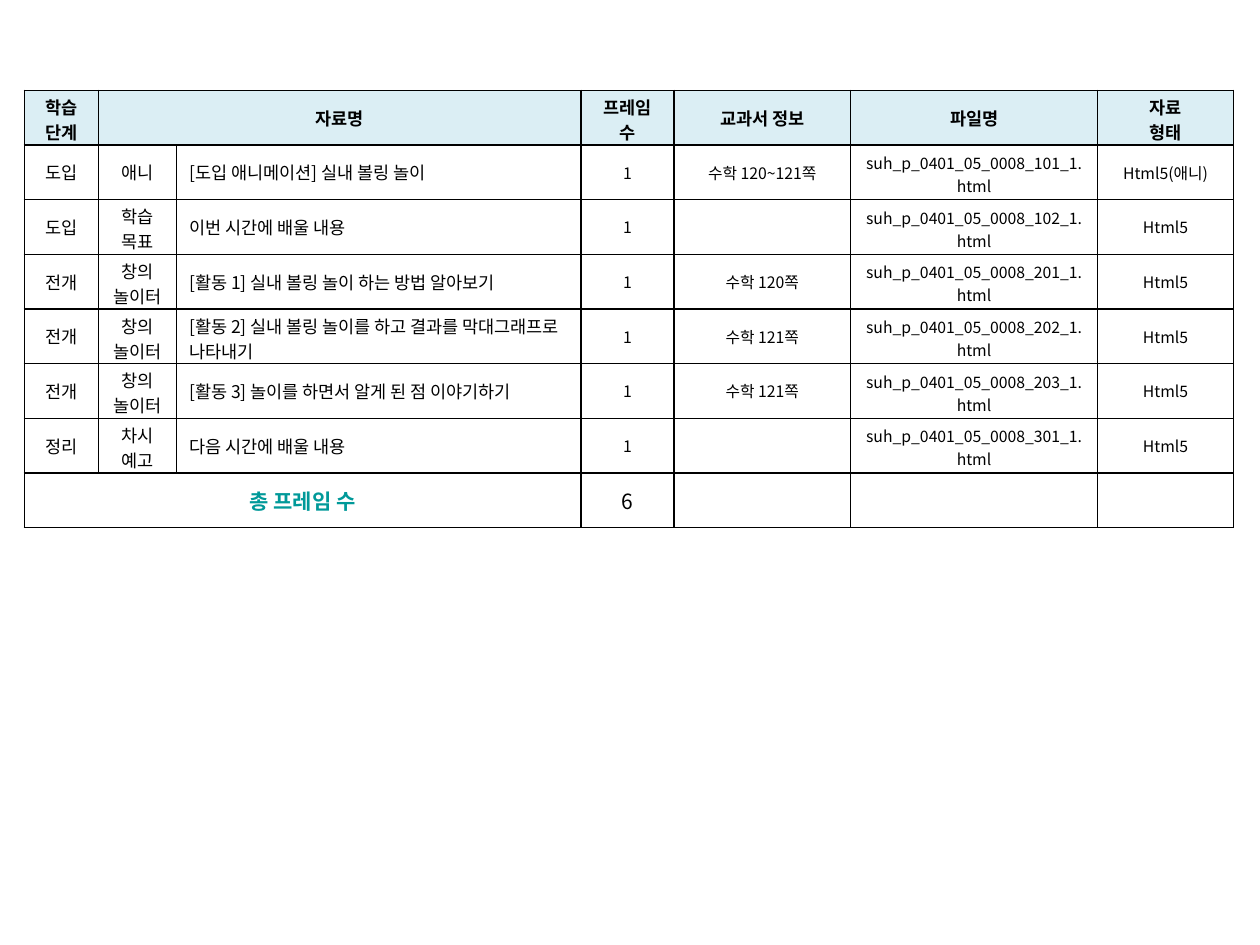
from dataclasses import dataclass
from lxml.etree import SubElement
from pptx import Presentation
from pptx.dml.color import RGBColor
from pptx.enum.text import MSO_ANCHOR, PP_ALIGN
from pptx.oxml.ns import qn
from pptx.util import Cm, Pt


@dataclass(frozen=True)
class Theme:
    font: str = "Noto Sans CJK KR"
    ink: str = "000000"
    head: str = "DBEEF4"
    teal: str = "009999"
    small: int = 9
    base: int = 10
    large: int = 12
    line: int = 1


THEME = Theme()
COLS = [1.5, 1.57, 8.15, 1.88, 3.56, 4.98, 2.74]
SLIM = (0, 1, 3)
HEAD = ["학습 단계", "자료명", "", "프레임 수", "교과서 정보", "파일명", "자료\n형태"]
PLAY = "창의\n놀이터"
ITEMS = [
    ("도입", "애니", "[도입 애니메이션] 실내 볼링 놀이", "수학 120~121쪽", 101, "Html5(애니)"),
    ("도입", "학습 목표", "이번 시간에 배울 내용", "", 102, "Html5"),
    ("전개", PLAY, "[활동 1] 실내 볼링 놀이 하는 방법 알아보기", "수학 120쪽", 201, "Html5"),
    ("전개", PLAY, "[활동 2] 실내 볼링 놀이를 하고 결과를 막대그래프로 나타내기",
     "수학 121쪽", 202, "Html5"),
    ("전개", PLAY, "[활동 3] 놀이를 하면서 알게 된 점 이야기하기", "수학 121쪽", 203, "Html5"),
    ("정리", "차시 예고", "다음 시간에 배울 내용", "", 301, "Html5"),
]


def wraps(text, col):
    return "\n" in text or len(text) > 28 or (col in SLIM and " " in text)


def write(cell, text, size=THEME.base, color=THEME.ink, bold=False,
          align=PP_ALIGN.CENTER, tall=False):
    cell.vertical_anchor = MSO_ANCHOR.MIDDLE
    if tall:
        cell.vertical_anchor = MSO_ANCHOR.TOP
        cell.margin_top = Cm(0.13 if size == THEME.small else 0.08)
        cell.margin_bottom = 0
    cell.text_frame.text = text
    for para in cell.text_frame.paragraphs:
        para.alignment = align
        para.font.size = Pt(size)
        for run in para.runs:
            font = run.font
            font.name, font.size, font.bold = THEME.font, Pt(size), bold
            font.color.rgb = RGBColor.from_string(color)
            SubElement(font._element, qn("a:ea"), typeface=THEME.font)


def frame(cell, fill=None):
    props = cell._tc.get_or_add_tcPr()
    for side in "LRTB":
        line = SubElement(props, qn(f"a:ln{side}"), w=str(Pt(THEME.line)))
        paint = SubElement(line, qn("a:solidFill"))
        SubElement(paint, qn("a:srgbClr"), val=THEME.ink)
    if fill:
        cell.fill.solid()
        cell.fill.fore_color.rgb = RGBColor.from_string(fill)
    else:
        cell.fill.background()


def add_plan(slide, left, top, width, height):
    last = len(ITEMS) + 1
    table = slide.shapes.add_table(
        last + 1, len(COLS), Cm(left), Cm(top), Cm(width), Cm(height)).table
    table.first_row = table.horz_banding = False
    for col, size in zip(table.columns, COLS):
        col.width = Cm(width * size / sum(COLS))
    for index, row in enumerate(table.rows):
        row.height = Cm(height / (last + 1))
        for cell in row.cells:
            frame(cell, None if index else THEME.head)

    for col, text in enumerate(HEAD):
        write(table.cell(0, col), text, bold=True, tall=wraps(text, col))
    for row, (step, kind, name, book, code, form) in enumerate(ITEMS, 1):
        file = f"suh_p_0401_05_0008_{code}_1.html"
        for col, text in enumerate((step, kind, name, "1", book, file, form)):
            write(table.cell(row, col), text,
                  size=THEME.base if col < 3 else THEME.small,
                  align=PP_ALIGN.LEFT if col == 2 else PP_ALIGN.CENTER,
                  tall=wraps(text, col))
    for col in range(len(COLS)):
        write(table.cell(last, col), "", size=THEME.small)
    write(table.cell(last, 0), "총 프레임 수", size=THEME.large, color=THEME.teal, bold=True)
    write(table.cell(last, 3), str(len(ITEMS)), size=THEME.large)
    table.cell(0, 1).merge(table.cell(0, 2))
    table.cell(last, 0).merge(table.cell(last, 2))


def main():
    deck = Presentation()
    deck.slide_width, deck.slide_height = Cm(25.4), Cm(19.05)
    slide = deck.slides.add_slide(deck.slide_layouts[6])
    add_plan(slide, 0.49, 1.82, 24.38, 8.82)
    deck.save("out.pptx")


if __name__ == "__main__":
    main()
